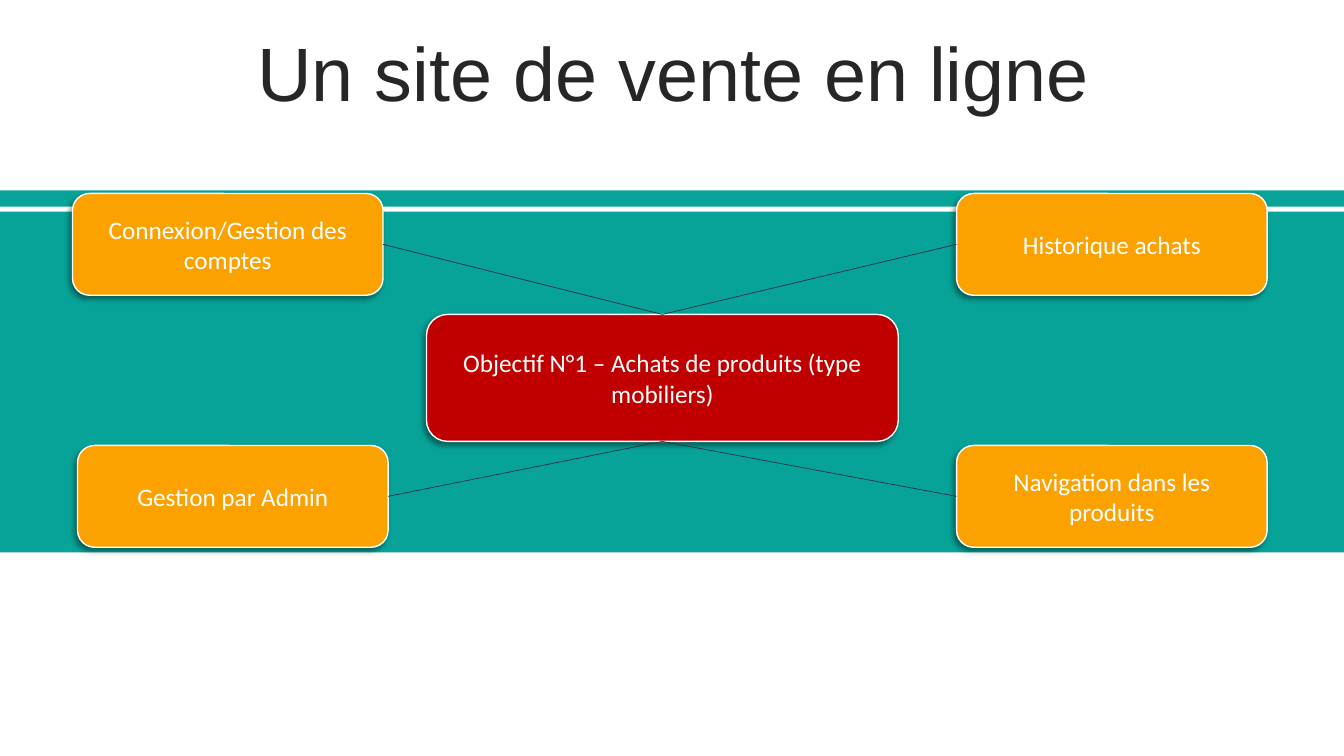
from lxml.etree import SubElement
from pptx import Presentation
from pptx.dml.color import RGBColor
from pptx.enum.shapes import MSO_CONNECTOR, MSO_SHAPE
from pptx.enum.text import MSO_ANCHOR, MSO_AUTO_SIZE, PP_ALIGN
from pptx.oxml.ns import qn
from pptx.util import Pt

TEAL, ORANGE, RED = "07A398", "FBA200", "C00000"
WHITE, INK, LINK = "FFFFFF", "262626", "2C2F45"
TOP, LEFT, BOTTOM, RIGHT = range(4)

FEATURES = [
    ("Connexion/Gestion des comptes", 51.8, 138.2, RIGHT, TOP),
    ("Historique achats", 683.3, 138.2, LEFT, TOP),
    ("Navigation dans les produits", 683.3, 318.2, LEFT, BOTTOM),
    ("Gestion par Admin", 55.4, 318.2, RIGHT, BOTTOM),
]


def colour(value):
    return RGBColor.from_string(value)


def write(shape, text, size=18, font="Calibri", ink=WHITE, spacing=1.0, before=0):
    frame = shape.text_frame
    frame.word_wrap = True
    frame.auto_size = MSO_AUTO_SIZE.NONE
    frame.vertical_anchor = MSO_ANCHOR.MIDDLE
    paragraph = frame.paragraphs[0]
    paragraph.alignment = PP_ALIGN.CENTER
    paragraph.line_spacing = spacing
    paragraph.space_before = Pt(before)
    run = paragraph.add_run()
    run.text = text
    run.font.size = Pt(size)
    run.font.name = font
    run.font.color.rgb = colour(ink)


def add_block(slide, kind, left, top, width, height, fill):
    block = slide.shapes.add_shape(kind, Pt(left), Pt(top), Pt(width), Pt(height))
    block.fill.solid()
    block.fill.fore_color.rgb = colour(fill)
    block.line.fill.background()
    block.shadow.inherit = False
    return block


def add_shadow(shape):
    effects = shape._element.spPr.find(qn("a:effectLst"))
    shadow = SubElement(effects, qn("a:outerShdw"), blurRad=str(Pt(4)),
                        dist=str(Pt(3)), dir=str(135 * 60000),
                        algn="tr", rotWithShape="0")
    black = SubElement(shadow, qn("a:srgbClr"), val="000000")
    SubElement(black, qn("a:alpha"), val="40000")


def add_card(slide, text, left, top, width, height, fill):
    card = add_block(slide, MSO_SHAPE.ROUNDED_RECTANGLE, left, top, width, height, fill)
    card.line.color.rgb = colour(WHITE)
    card.line.width = Pt(1)
    add_shadow(card)
    write(card, text)
    return card


def link(slide, feature, feature_side, goal, goal_side):
    connector = slide.shapes.add_connector(MSO_CONNECTOR.STRAIGHT, 0, 0, 0, 0)
    connector.begin_connect(feature, feature_side)
    connector.end_connect(goal, goal_side)
    connector.line.color.rgb = colour(LINK)
    connector.line.width = Pt(0.5)
    SubElement(connector._element.spPr, qn("a:effectLst"))


def set_title(slide, text):
    title = slide.shapes.title
    title.left, title.top = Pt(25.2), Pt(26.6)
    title.width, title.height = Pt(911.5), Pt(56.9)
    write(title, text, size=54, font="Arial", ink=INK, spacing=0.9, before=10)


def main():
    deck = Presentation()
    deck.slide_width, deck.slide_height = Pt(960), Pt(540)
    slide = deck.slides.add_slide(deck.slide_layouts[5])
    set_title(slide, "Un site de vente en ligne")
    for top, height in ((151.2, 243.4), (136.1, 11.5)):
        add_block(slide, MSO_SHAPE.RECTANGLE, 0, top, 960, height, TEAL)
    goal = add_card(slide, "Objectif N°1 – Achats de produits (type mobiliers)",
                    304.6, 224.6, 337, 90.7, RED)
    for text, left, top, side, goal_side in FEATURES:
        feature = add_card(slide, text, left, top, 221.8, 72.7, ORANGE)
        link(slide, feature, side, goal, goal_side)
    deck.save("out.pptx")


if __name__ == "__main__":
    main()
